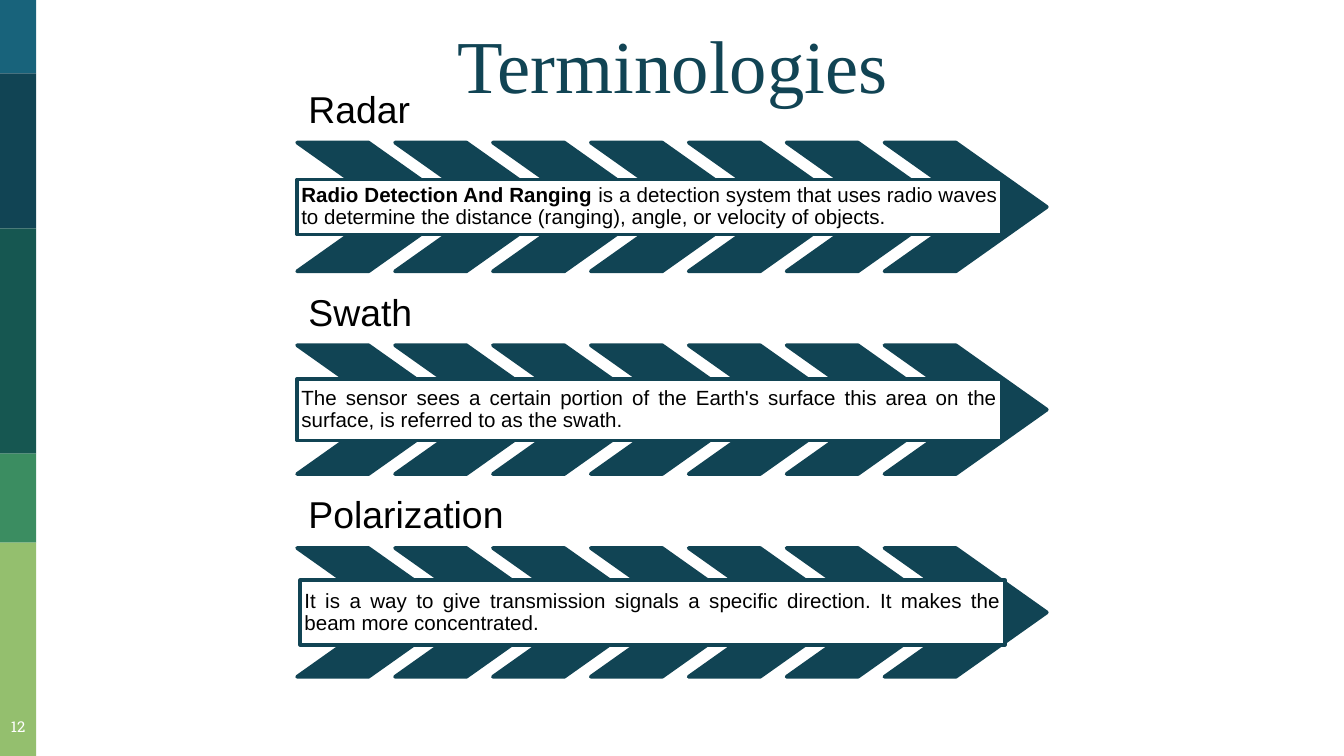
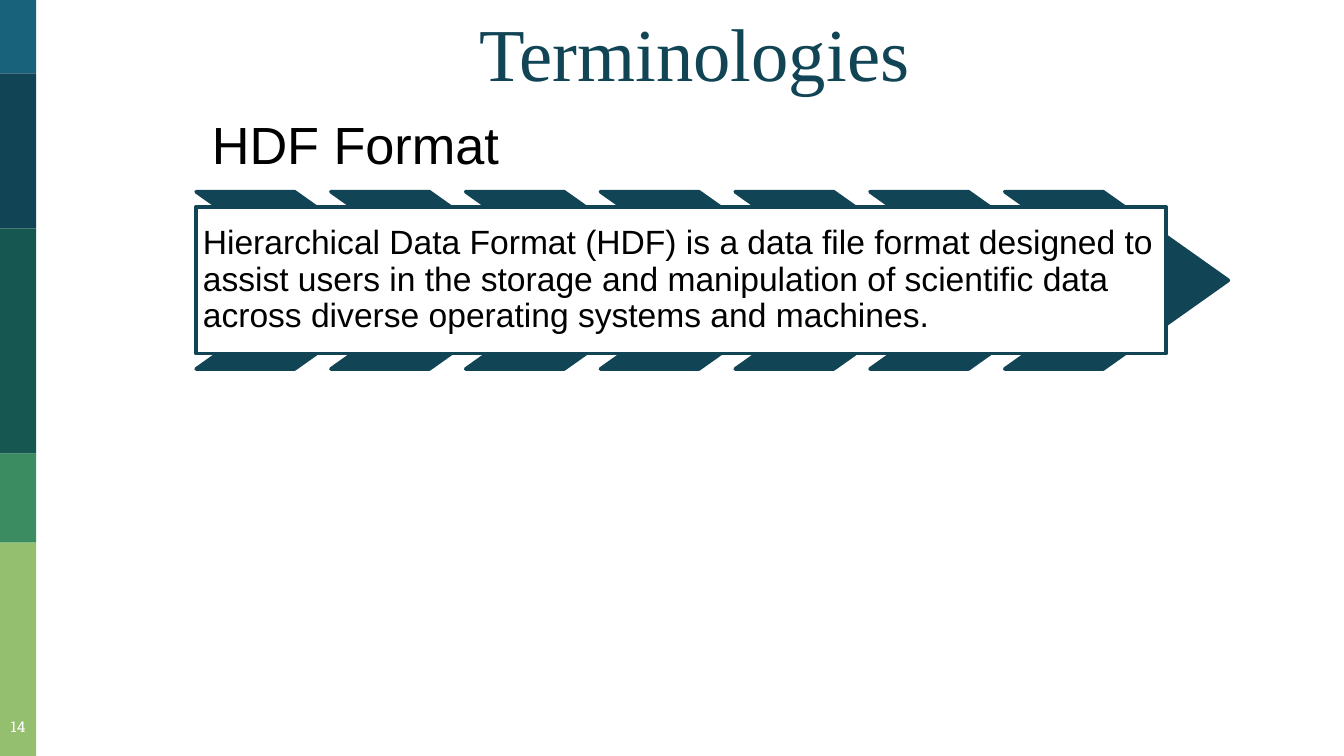
from dataclasses import dataclass

from pptx import Presentation
from pptx.dml.color import RGBColor
from pptx.enum.shapes import MSO_SHAPE
from pptx.enum.text import MSO_ANCHOR, PP_ALIGN
from pptx.util import Pt


@dataclass(frozen=True)
class Theme:
    navy: str = "114454"
    white: str = "FFFFFF"
    black: str = "000000"
    # Side bands: top edge and colour, each running to the next one
    bands: tuple = (
        (0, "18637B"),
        (39.4, "114454"),
        (122.4, "165751"),
        (243, "3B8D61"),
        (290.7, "94BF6E"),
    )
    band_width: float = 19.4
    title_font: str = "Times New Roman"
    body_font: str = "Arial"
    number_font: str = "Roboto Slab"
    title_size: int = 40
    number_size: int = 8
    outline: float = 2


WIDTH, HEIGHT = 720, 405
CHEVRONS = 7


class Deck:
    def __init__(self, theme):
        self.theme = theme
        self.presentation = Presentation()
        self.presentation.slide_width = Pt(WIDTH)
        self.presentation.slide_height = Pt(HEIGHT)
        self.slide = None

    def start_slide(self, number):
        self.slide = self.presentation.slides.add_slide(
            self.presentation.slide_layouts[6])
        theme = self.theme
        bottoms = [top for top, _ in theme.bands[1:]] + [HEIGHT]
        for (top, color), bottom in zip(theme.bands, bottoms):
            self.shape(MSO_SHAPE.RECTANGLE,
                       (0, top, theme.band_width, bottom - top), color)
        self.text((-4, 379.5, 27.4, 25.2), [(number, False)],
                  theme.number_size, theme.number_font, theme.white,
                  align=PP_ALIGN.CENTER, inset=7.2)

    def shape(self, kind, place, fill, line=None):
        shape = self.slide.shapes.add_shape(kind, *map(Pt, place))
        shape.shadow.inherit = False
        shape.fill.solid()
        shape.fill.fore_color.rgb = RGBColor.from_string(fill)
        if line:
            shape.line.color.rgb = RGBColor.from_string(line)
            shape.line.width = Pt(self.theme.outline)
        else:
            shape.line.fill.background()
        return shape

    def text(self, place, runs, size, font, color, **layout):
        box = self.slide.shapes.add_textbox(*map(Pt, place))
        self.fill_frame(box.text_frame, runs, size, font, color, **layout)

    def fill_frame(self, frame, runs, size, font, color, align=PP_ALIGN.LEFT,
                   anchor=MSO_ANCHOR.TOP, inset=None, spacing=None, wrap=True):
        """Fill a frame with one paragraph of (text, bold) runs."""
        frame.word_wrap = wrap
        frame.vertical_anchor = anchor
        if inset is not None:
            frame.margin_left = frame.margin_right = Pt(inset)
            frame.margin_top = frame.margin_bottom = Pt(inset)
        paragraph = frame.paragraphs[0]
        paragraph.alignment = align
        if spacing:
            paragraph.line_spacing = spacing
        for words, bold in runs:
            run = paragraph.add_run()
            run.text = words
            run.font.size = Pt(size)
            run.font.name = font
            run.font.bold = bold
            run.font.color.rgb = RGBColor.from_string(color)

    def title(self, words, place, **layout):
        theme = self.theme
        self.text(place, [(words, False)], theme.title_size,
                  theme.title_font, theme.navy, **layout)

    def term(self, name, definition, left, top, height, note_height,
             name_size, note_size, align=PP_ALIGN.LEFT, note_shift=0):
        """Heading above a chevron row, with the definition centred on it.

        All widths follow from the height of the chevrons.
        """
        theme = self.theme
        name_height = 0.49 * height
        self.text((left, top - name_height, 5.4 * height, name_height),
                  [(name, False)], name_size, theme.body_font, theme.black,
                  anchor=MSO_ANCHOR.BOTTOM, inset=0.3 * name_size, spacing=0.9)
        for index in range(CHEVRONS):
            chevron = self.shape(
                MSO_SHAPE.CHEVRON,
                (left + index * 0.76 * height, top, 1.26 * height, height),
                theme.navy, theme.navy)
            chevron.adjustments[0] = 0.706
        note = self.shape(
            MSO_SHAPE.RECTANGLE,
            (left + note_shift, top + (height - note_height) / 2,
             5.47 * height, note_height),
            theme.white, theme.navy)
        self.fill_frame(note.text_frame, definition, note_size,
                        theme.body_font, theme.black, align=align,
                        anchor=MSO_ANCHOR.MIDDLE, inset=0.2 * note_size,
                        spacing=0.9)


RADAR_TERMS = (
    ("Radar", 29.5, 0, [
        ("Radio Detection And Ranging", True),
        (" is a detection system that uses radio waves to determine the "
         "distance (ranging), angle, or velocity of objects.", False)]),
    ("Swath", 33, 0, [
        ("The sensor sees a certain portion of the Earth's surface this area "
         "on the surface, is referred to as the swath.", False)]),
    ("Polarization", 34.6, 1.7, [
        ("It is a way to give transmission signals a specific direction. "
         "It makes the beam more concentrated.", False)]),
)


def radar_slide(deck):
    deck.start_slide("12")
    deck.title("Terminologies", (235.4, 6.5, 249.8, 55.4),
               align=PP_ALIGN.CENTER, wrap=False)
    for row, (name, note_height, shift, definition) in enumerate(RADAR_TERMS):
        deck.term(name, definition, left=159.2, top=76.4 + row * 108.6,
                  height=69, note_height=note_height, name_size=20,
                  note_size=11, align=PP_ALIGN.JUSTIFY, note_shift=shift)


def format_slide(deck):
    deck.start_slide("14")
    deck.title("Terminologies", (249.8, 0, 263.5, 55.4))
    deck.term("HDF Format", [
        ("Hierarchical Data Format (HDF) is a data file format designed to "
         "assist users in the storage and manipulation of scientific data "
         "across diverse operating systems and machines.", False)],
        left=105.1, top=102.7, height=95, note_height=78.5,
        name_size=28, note_size=18)


def main():
    deck = Deck(Theme())
    radar_slide(deck)
    format_slide(deck)
    deck.presentation.save("out.pptx")


if __name__ == "__main__":
    main()
